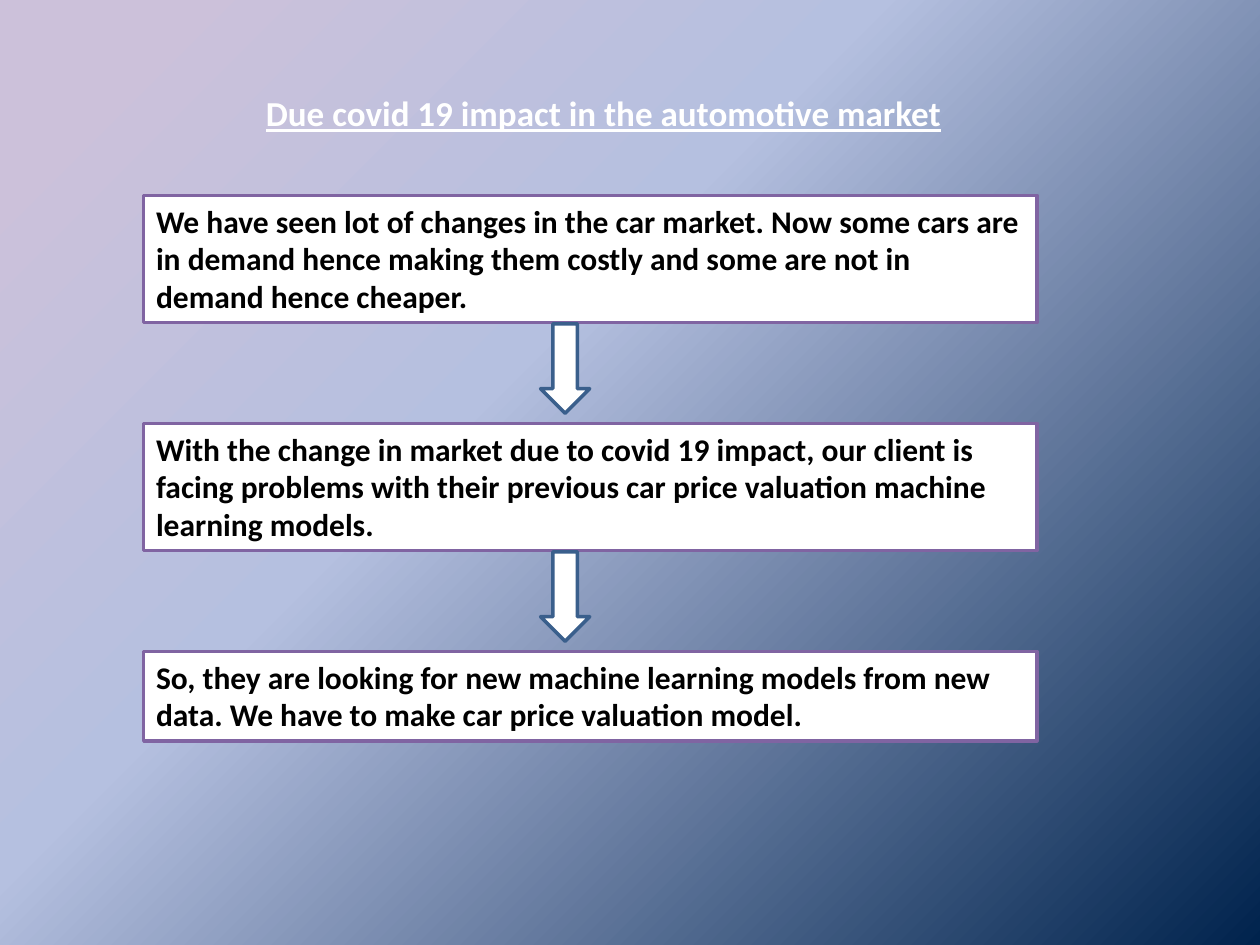
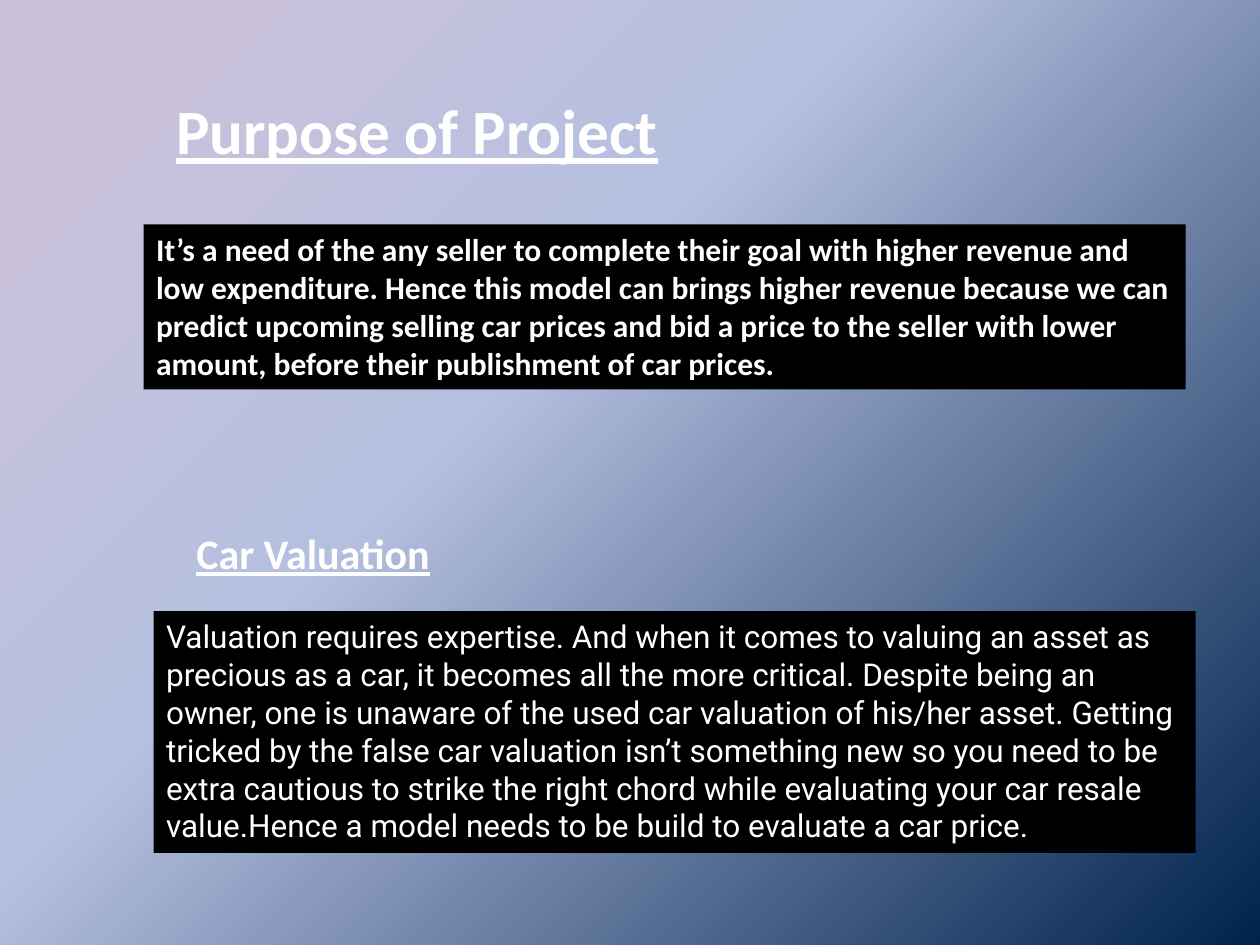
import copy

import pptx
import pptx.dml.color
import pptx.enum.shapes
import pptx.enum.text
import pptx.oxml.ns
import pptx.util

Inches = pptx.util.Inches
RGBColor = pptx.dml.color.RGBColor
MSO_SHAPE = pptx.enum.shapes.MSO_SHAPE

WHITE = RGBColor(0xFF, 0xFF, 0xFF)
BLACK = RGBColor(0x00, 0x00, 0x00)
PURPLE = RGBColor(0x80, 0x64, 0xA2)
STEEL = RGBColor(0x3A, 0x5F, 0x8C)
BACKDROP_STOPS = [
    (0.08, RGBColor(0xCC, 0xC1, 0xDA)),
    (0.40, RGBColor(0xB5, 0xC0, 0xE0)),
    (1.00, RGBColor(0x00, 0x23, 0x4D)),
]

HEADING = {"name": "Calibri", "bold": True, "underline": True}
BOLD_BODY = {"name": "Calibri", "bold": True, "underline": False}
PLAIN_BODY = {"name": "Roboto", "bold": False, "underline": False}
FRAME = {
    "word_wrap": True,
    "auto_size": pptx.enum.text.MSO_AUTO_SIZE.SHAPE_TO_FIT_TEXT,
    "vertical_anchor": pptx.enum.text.MSO_ANCHOR.TOP,
}

LINE_WIDTH = 2
STEP_GAP = 0.8
ARROW_OFFSET = 3.15
ARROW_WIDTH, ARROW_HEIGHT = 0.39, 0.71

MARKET_STEPS = [
    (1.01, "We have seen lot of changes in the car market. Now some cars are in demand "
           "hence making them costly and some are not in demand hence cheaper."),
    (1.01, "With the change in market due to covid 19 impact, our client is facing problems "
           "with their previous car price valuation machine learning models."),
    (0.71, "So, they are looking for new machine learning models from new data. "
           "We have to make car price valuation model."),
]
PURPOSE = (
    "It’s a need of the any seller to complete their goal with higher revenue and low "
    "expenditure. Hence this model can brings higher revenue because we can predict "
    "upcoming selling car prices and bid a price to the seller with lower amount, before "
    "their publishment of car prices."
)
VALUATION = (
    "Valuation requires expertise. And when it comes to valuing an asset as precious as a "
    "car, it becomes all the more critical. Despite being an owner, one is unaware of the "
    "used car valuation of his/her asset. Getting tricked by the false car valuation isn’t "
    "something new so you need to be extra cautious to strike the right chord while "
    "evaluating your car resale value.Hence a model needs to be build to evaluate a car price."
)


def inches(*lengths):
    return [Inches(length) for length in lengths]


def paint_backdrop(master):
    fill = master.background.fill
    fill.gradient()
    fill.gradient_angle = 315
    stop_list = master.element.find(".//" + pptx.oxml.ns.qn("p:bg")).find(
        ".//" + pptx.oxml.ns.qn("a:gsLst"))
    stop_list.append(copy.deepcopy(stop_list[-1]))
    for stop, (position, color) in zip(fill.gradient_stops, BACKDROP_STOPS):
        stop.position = position
        stop.color.rgb = color


def write(shape, text, style, size, color):
    frame = shape.text_frame
    for attribute, value in FRAME.items():
        setattr(frame, attribute, value)
    paragraph = frame.paragraphs[0]
    paragraph.alignment = pptx.enum.text.PP_ALIGN.LEFT
    run = paragraph.add_run()
    run.text = text
    for attribute, value in style.items():
        setattr(run.font, attribute, value)
    run.font.size = pptx.util.Pt(size)
    run.font.color.rgb = color


def add_titled_slide(deck, title, box, size):
    slide = deck.slides.add_slide(deck.slide_layouts[5])
    heading = slide.shapes.title
    heading.left, heading.top, heading.width, heading.height = inches(*box)
    write(heading, title, HEADING, size, WHITE)
    return slide


def add_block(slide, preset, box, fill, outline=None):
    block = slide.shapes.add_shape(preset, *inches(*box))
    block.shadow.inherit = False
    block.fill.solid()
    block.fill.fore_color.rgb = fill
    if outline is None:
        block.line.fill.background()
    else:
        block.line.color.rgb = outline
        block.line.width = pptx.util.Pt(LINE_WIDTH)
    return block


def add_step_flow(slide, left, top, width, steps):
    arrow_tops = []
    for height, text in steps:
        step = add_block(slide, MSO_SHAPE.RECTANGLE, (left, top, width, height), WHITE, PURPLE)
        write(step, text, BOLD_BODY, 18, BLACK)
        arrow_tops.append(top + height + 0.01)
        top += height + STEP_GAP
    for arrow_top in arrow_tops[:-1]:
        add_block(slide, MSO_SHAPE.DOWN_ARROW,
                  (left + ARROW_OFFSET, arrow_top, ARROW_WIDTH, ARROW_HEIGHT), WHITE, STEEL)


def add_statement(slide, box, text, style):
    statement = add_block(slide, MSO_SHAPE.RECTANGLE, box, BLACK)
    write(statement, text, style, 18, WHITE)


def build_market_slide(deck):
    slide = add_titled_slide(deck, "Due covid 19 impact in the automotive market",
                             (2.01, 0.68, 5.67, 0.44), 20)
    add_step_flow(slide, 1.14, 1.55, 7.09, MARKET_STEPS)


def build_purpose_slide(deck):
    slide = add_titled_slide(deck, "Purpose of Project", (1.3, 0.68, 5.12, 0.71), 36)
    add_statement(slide, (1.14, 1.78, 8.27, 1.31), PURPOSE, BOLD_BODY)
    add_statement(slide, (1.22, 4.85, 8.27, 1.92), VALUATION, PLAIN_BODY)
    subheading = slide.shapes.add_textbox(*inches(1.46, 4.14, 2.99, 0.5))
    write(subheading, "Car Valuation", HEADING, 24, WHITE)


def main():
    deck = pptx.Presentation()
    deck.slide_width, deck.slide_height = inches(10, 7.5)
    paint_backdrop(deck.slide_master)
    build_market_slide(deck)
    build_purpose_slide(deck)
    deck.save("out.pptx")


if __name__ == "__main__":
    main()
